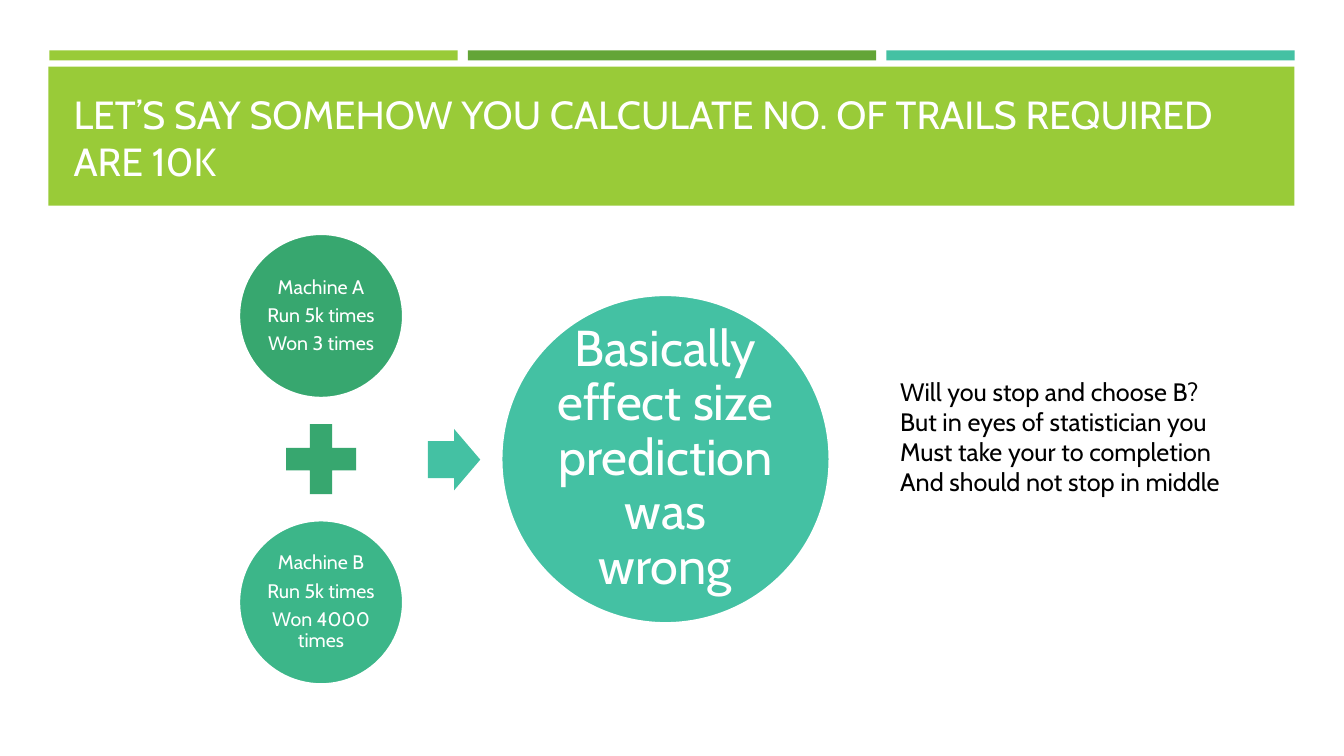
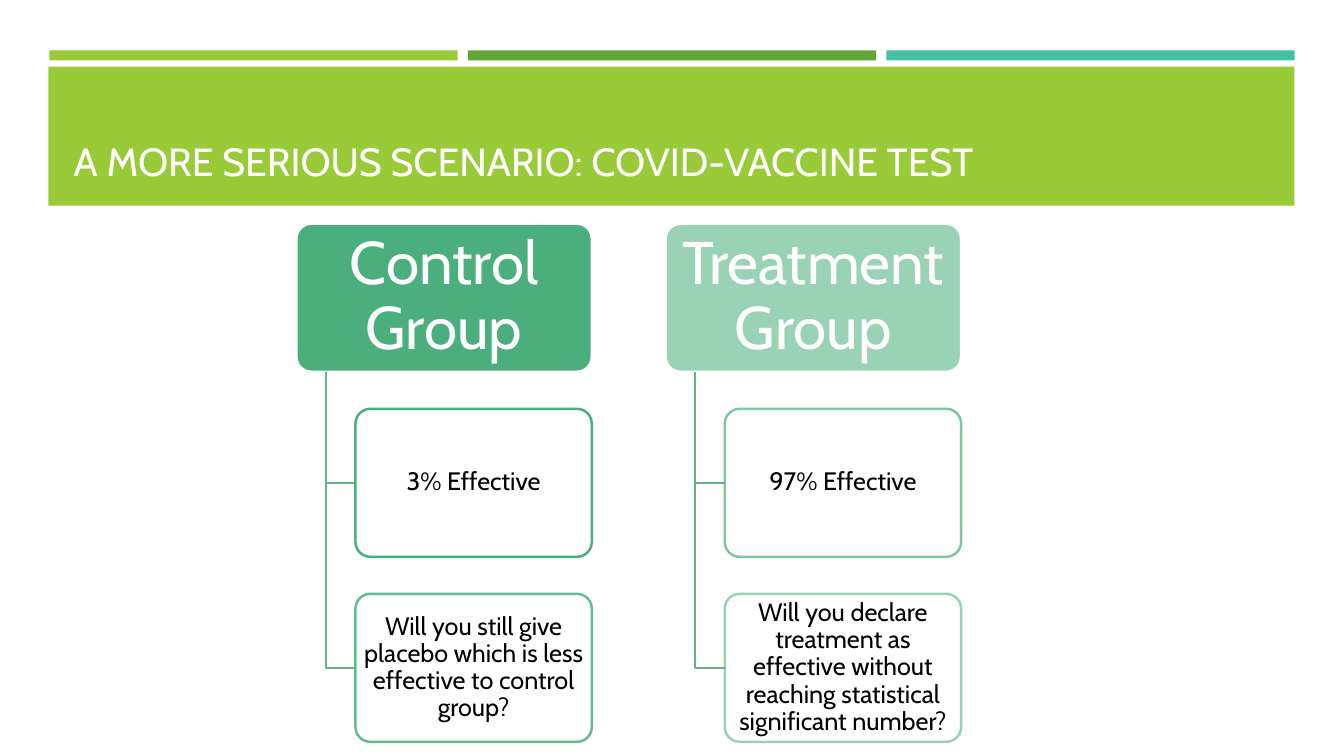
from lxml import etree
from pptx import Presentation
from pptx.dml.color import RGBColor
from pptx.enum.shapes import MSO_SHAPE as Shape
from pptx.enum.text import MSO_ANCHOR as Anchor, MSO_AUTO_SIZE as AutoSize, PP_ALIGN as Align
from pptx.oxml.ns import qn
from pptx.util import Inches, Pt

LIME = RGBColor(0x99, 0xCB, 0x38)
LEAF = RGBColor(0x63, 0xA5, 0x37)
TEAL = RGBColor(0x44, 0xC1, 0xA3)
GREEN = RGBColor(0x37, 0xA7, 0x6F)
MINT = RGBColor(0x3C, 0xB6, 0x89)
SAGE = RGBColor(0x68, 0xB2, 0x87)
WHITE = RGBColor(0xFF, 0xFF, 0xFF)
BLACK = RGBColor(0x00, 0x00, 0x00)

FONT = "Cabin"
LINE_WIDTH = Pt(1.75)
TITLE_ONLY = 5
TITLE_BOX = (0.63, 0.8, 12.06, 1.08)
TITLE_BAND = (0.48, 0.66, 12.36, 1.38)


def inches(*box):
    return [Inches(v) for v in box]


def set_alpha(sp, xpath, percent):
    for color in sp.element.spPr.xpath(xpath):
        etree.SubElement(color, qn("a:alpha")).set("val", str(percent * 1000))


def add_shape(s, kind, box, fill, line=None, fill_alpha=100, line_alpha=100):
    sp = s.shapes.add_shape(kind, *inches(*box))
    sp.shadow.inherit = False
    sp.fill.solid()
    sp.fill.fore_color.rgb = fill
    if line is None:
        sp.line.fill.background()
    else:
        sp.line.color.rgb = line
        sp.line.width = LINE_WIDTH
    if fill_alpha < 100:
        set_alpha(sp, "./a:solidFill/a:srgbClr", fill_alpha)
    if line_alpha < 100:
        set_alpha(sp, "./a:ln/a:solidFill/a:srgbClr", line_alpha)
    return sp


def write(tf, lines, size, color, align=Align.LEFT, spacing=1.0, after=0):
    tf.text = "\n".join(lines)
    tf.word_wrap = True
    for p in tf.paragraphs:
        p.alignment = align
        p.line_spacing = spacing
        p.space_after = Pt(after)
        for r in p.runs:
            r.font.name = FONT
            r.font.size = Pt(size)
            r.font.color.rgb = color


def label(sp, lines, size, color, inset):
    tf = sp.text_frame
    tf.vertical_anchor = Anchor.MIDDLE
    tf.margin_left = tf.margin_right = tf.margin_top = tf.margin_bottom = Inches(inset)
    write(tf, lines, size, color, Align.CENTER, 0.9, 0.35 * size)


def style_layout(layout, s):
    title = next(ph for ph in layout.placeholders if ph.placeholder_format.idx == 0)
    title.left, title.top, title.width, title.height = inches(*TITLE_BOX)
    title.text_frame.vertical_anchor = Anchor.BOTTOM
    bands = [((0.49 + 4.15 * i, 0.5, 4.05, 0.1), color)
             for i, color in enumerate((LIME, LEAF, TEAL))]
    bands.append((TITLE_BAND, LIME))
    for number, (box, color) in enumerate(bands, 101):
        sp = add_shape(s, Shape.RECTANGLE, box, color)
        sp.element.xpath(".//p:cNvPr")[0].set("id", str(number))
        title.element.addprevious(sp.element)


def add_title(s, text):
    write(s.shapes.title.text_frame, [text], 28, WHITE)


def add_equation(s, box, machines, result):
    x, y, w, h = box
    big = w * 0.556
    small = big / 2
    plus = small * 0.58
    middle = y + h / 2
    for top, fill, lines in zip((y, y + h - small), (GREEN, MINT), machines):
        sp = add_shape(s, Shape.OVAL, (x, top, small, small), fill, WHITE)
        label(sp, lines, 14, WHITE, 0.02)
    add_shape(s, Shape.MATH_PLUS,
              (x + (small - plus) / 2, middle - plus / 2, plus, plus), GREEN)
    arrow = add_shape(s, Shape.RIGHT_ARROW,
                      (x + small * 1.15, middle - 0.3, 0.52, 0.61), TEAL)
    arrow.adjustments[0] = 0.6
    sp = add_shape(s, Shape.OVAL, (x + w - big, middle - big / 2, big, big), TEAL, WHITE)
    label(sp, [result], 36, WHITE, 0.05)


def add_remark(s, box, lines):
    tf = s.shapes.add_textbox(*inches(*box)).text_frame
    write(tf, lines, 18, BLACK)
    tf.auto_size = AutoSize.SHAPE_TO_FIT_TEXT


def add_elbow(s, x, top, bottom, right):
    x, top, bottom, right = inches(x, top, bottom, right)
    builder = s.shapes.build_freeform(x, top)
    builder.add_line_segments([(x, bottom), (right, bottom)], close=False)
    sp = builder.convert_to_shape()
    sp.shadow.inherit = False
    sp.fill.background()
    sp.line.color.rgb = SAGE
    sp.line.width = LINE_WIDTH


def add_card(s, box, **look):
    sp = add_shape(s, Shape.ROUNDED_RECTANGLE, box, **look)
    sp.adjustments[0] = 0.1
    return sp


def add_branch(s, box, heading, heading_alpha, items):
    x, y, w, h = box
    row = h / 3.5
    step = row * 1.25
    indent = w * 0.2
    head = add_card(s, (x, y, w, row), fill=GREEN, line=WHITE, fill_alpha=heading_alpha)
    label(head, [heading], 43, WHITE, 0.07)
    for i, (text, alpha) in enumerate(items, 1):
        top = y + i * step
        add_elbow(s, x + indent / 2, y + row, top + row / 2, x + indent)
        card = add_card(s, (x + indent, top, w - indent, row), fill=WHITE, line=GREEN,
                        fill_alpha=90, line_alpha=alpha)
        label(card, [text], 18, BLACK, 0.03)


def build_trials(s):
    add_title(s, "LET’S SAY SOMEHOW YOU CALCULATE NO. OF TRAILS REQUIRED ARE 10K")
    add_equation(s, (2.37, 2.32, 5.86, 4.47),
                 [["Machine A", "Run 5k times", "Won 3 times"],
                  ["Machine B", "Run 5k times", "Won 4000 times"]],
                 "Basically effect size prediction was wrong")
    add_remark(s, (8.83, 3.68, 3.69, 1.31),
               ["Will you stop and choose B?",
                "But in eyes of statistician you",
                "Must take your to completion",
                "And should not stop in middle"])


def build_vaccine(s):
    add_title(s, "A MORE SERIOUS SCENARIO: COVID-VACCINE TEST")
    branches = [
        ("Control Group", 90,
         [("3% Effective", 90),
          ("Will you still give placebo which is less effective to control group?", 77)]),
        ("Treatment Group", 50,
         [("97% Effective", 63),
          ("Will you declare treatment as effective without reaching "
           "statistical significant number?", 50)]),
    ]
    width = 2.93
    for i, branch in enumerate(branches):
        add_branch(s, (2.94 + i * width * 1.25, 2.22, width, 5.14), *branch)


def main():
    prs = Presentation()
    prs.slide_width, prs.slide_height = inches(13.33, 7.5)
    layout = prs.slide_layouts[TITLE_ONLY]
    slides = [prs.slides.add_slide(layout) for _ in range(2)]
    style_layout(layout, slides[0])
    for build, s in zip((build_trials, build_vaccine), slides):
        build(s)
    prs.save("out.pptx")


if __name__ == "__main__":
    main()
